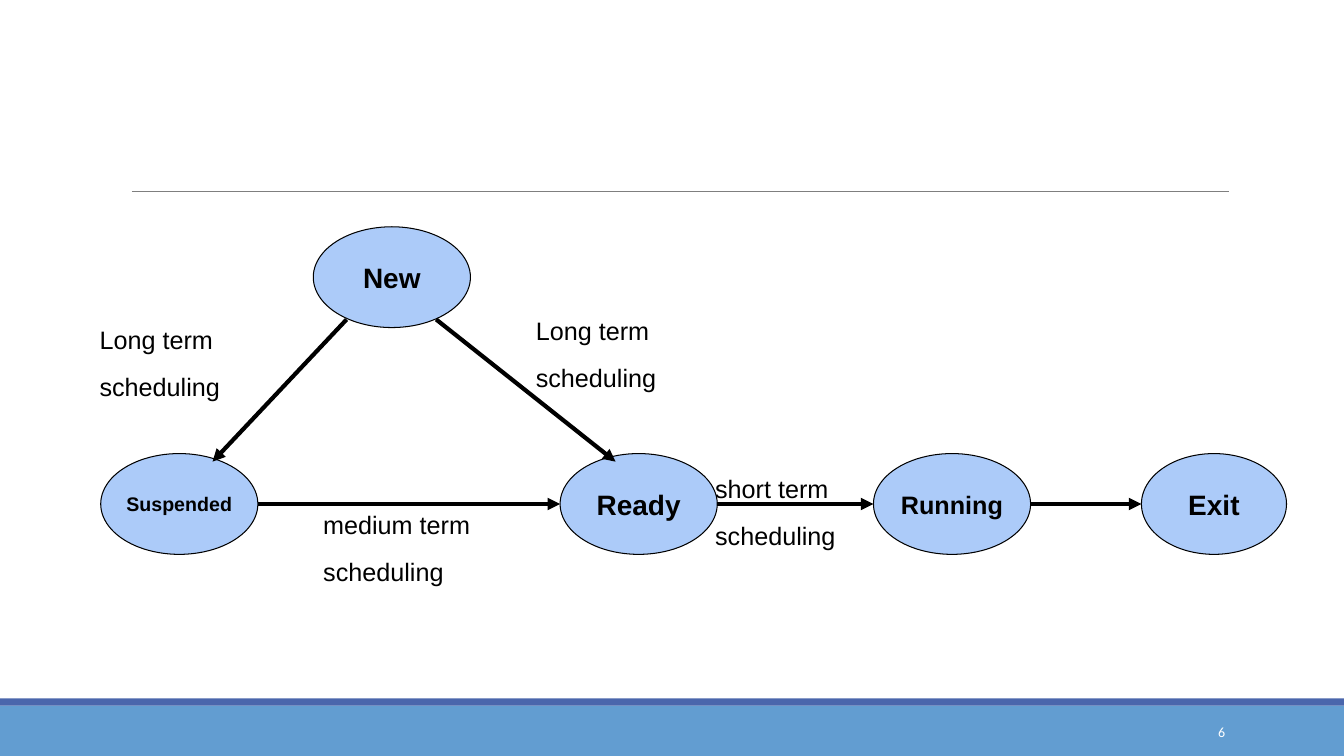
import pptx
import pptx.util
from pptx.dml.color import RGBColor
from pptx.enum.shapes import MSO_CONNECTOR, MSO_SHAPE
from pptx.enum.text import MSO_ANCHOR, MSO_AUTO_SIZE, PP_ALIGN
from pptx.oxml.ns import qn
from pptx.util import Inches
import lxml.etree

BLACK = RGBColor(0x00, 0x00, 0x00)
WHITE = RGBColor(0xFF, 0xFF, 0xFF)
GREY = RGBColor(0x7F, 0x7F, 0x7F)
SKY = RGBColor(0x62, 0x9D, 0xD1)
NAVY = RGBColor(0x4A, 0x66, 0xAC)
PALE_BLUE = RGBColor(0xAC, 0xCB, 0xF9)

SLIDE_WIDTH, SLIDE_HEIGHT = 13.34, 7.5
STATE_WIDTH, STATE_HEIGHT = 1.56, 1


def write_text(shape, text, size=18, font="Arial", color=BLACK, bold=False,
               align=PP_ALIGN.LEFT, anchor=MSO_ANCHOR.TOP, wrap=True, space_before=0):
    """Fill the shape with one paragraph for each line of text."""
    frame = shape.text_frame
    frame.word_wrap = wrap
    frame.vertical_anchor = anchor
    frame.text = text
    for para in frame.paragraphs:
        para.alignment = align
        para.space_before = pptx.util.Pt(space_before)
        para.font.size = pptx.util.Pt(size)
        para.font.name = font
        para.font.bold = bold
        para.font.color.rgb = color


def add_filled(page, kind, box, fill, outline=None):
    shape = page.shapes.add_shape(kind, *map(Inches, box))
    shape.shadow.inherit = False
    shape.fill.solid()
    shape.fill.fore_color.rgb = fill
    if outline is None:
        shape.line.fill.background()
    else:
        shape.line.color.rgb = outline
        shape.line.width = pptx.util.Pt(0.75)
    return shape


def add_line(page, start, end, color=BLACK, width=3, arrow=True):
    line = page.shapes.add_connector(MSO_CONNECTOR.STRAIGHT, *map(Inches, (*start, *end)))
    line.line.color.rgb = color
    line.line.width = pptx.util.Pt(width)
    if arrow:
        lxml.etree.SubElement(line.line._get_or_add_ln(), qn("a:tailEnd"), type="triangle")
    lxml.etree.SubElement(line._element.spPr, qn("a:effectLst"))


def add_frame(page, number):
    """Draw the title rule, the footer bars and the page number."""
    add_filled(page, MSO_SHAPE.RECTANGLE, (0, 7, SLIDE_WIDTH, 0.5), SKY)
    add_filled(page, MSO_SHAPE.RECTANGLE, (0, 6.93, SLIDE_WIDTH, 0.07), NAVY)
    add_line(page, (1.31, 1.9), (12.2, 1.9), color=GREY, width=0.5, arrow=False)
    number_box = page.shapes.add_textbox(*map(Inches, (10.83, 7.06, 1.43, 0.4)))
    write_text(number_box, number, size=10, font="Calibri", color=WHITE,
               align=PP_ALIGN.RIGHT, anchor=MSO_ANCHOR.MIDDLE)


def add_state(page, name, left, top, size, width=STATE_WIDTH):
    state = add_filled(page, MSO_SHAPE.OVAL, (left, top, width, STATE_HEIGHT),
                       PALE_BLUE, outline=BLACK)
    write_text(state, name, size=size, bold=True, align=PP_ALIGN.CENTER,
               anchor=MSO_ANCHOR.MIDDLE, wrap=False)


def add_scheduling_label(page, term, left, top):
    label = page.shapes.add_textbox(*map(Inches, (left, top, 2.56, 0.86)))
    write_text(label, f"{term} term\nscheduling", space_before=12)
    label.text_frame.auto_size = MSO_AUTO_SIZE.SHAPE_TO_FIT_TEXT


def add_state_diagram(page, left, top):
    """Draw the process states, their transitions and the scheduling labels."""
    row_top = top + 2.25
    row_middle = row_top + STATE_HEIGHT / 2
    row = [("Suspended", 0, 14, STATE_WIDTH), ("Ready", 4.56, 20, STATE_WIDTH),
           ("Running", 7.67, 18, STATE_WIDTH), ("Exit", 10.33, 20, 1.44)]

    add_state(page, "New", left + 2.11, top, 20)
    for name, offset, size, width in row:
        add_state(page, name, left + offset, row_top, size, width)

    for (_, offset, _, width), (_, next_offset, _, _) in zip(row, row[1:]):
        add_line(page, (left + offset + width, row_middle), (left + next_offset, row_middle))
    for start, end in ((2.44, 1.11), (3.33, 5.11)):
        add_line(page, (left + start, top + 0.92), (left + end, top + 2.33))

    for term, offset, drop in (("Long", 4.22, 0.83), ("Long", -0.11, 0.92),
                               ("medium", 2.11, 2.75), ("short", 6, 2.4)):
        add_scheduling_label(page, term, left + offset, top + drop)


def main():
    deck = pptx.Presentation()
    deck.slide_width = Inches(SLIDE_WIDTH)
    deck.slide_height = Inches(SLIDE_HEIGHT)
    page = deck.slides.add_slide(deck.slide_layouts[6])
    add_frame(page, "6")
    add_state_diagram(page, left=1, top=2.25)
    deck.save("out.pptx")


if __name__ == "__main__":
    main()
